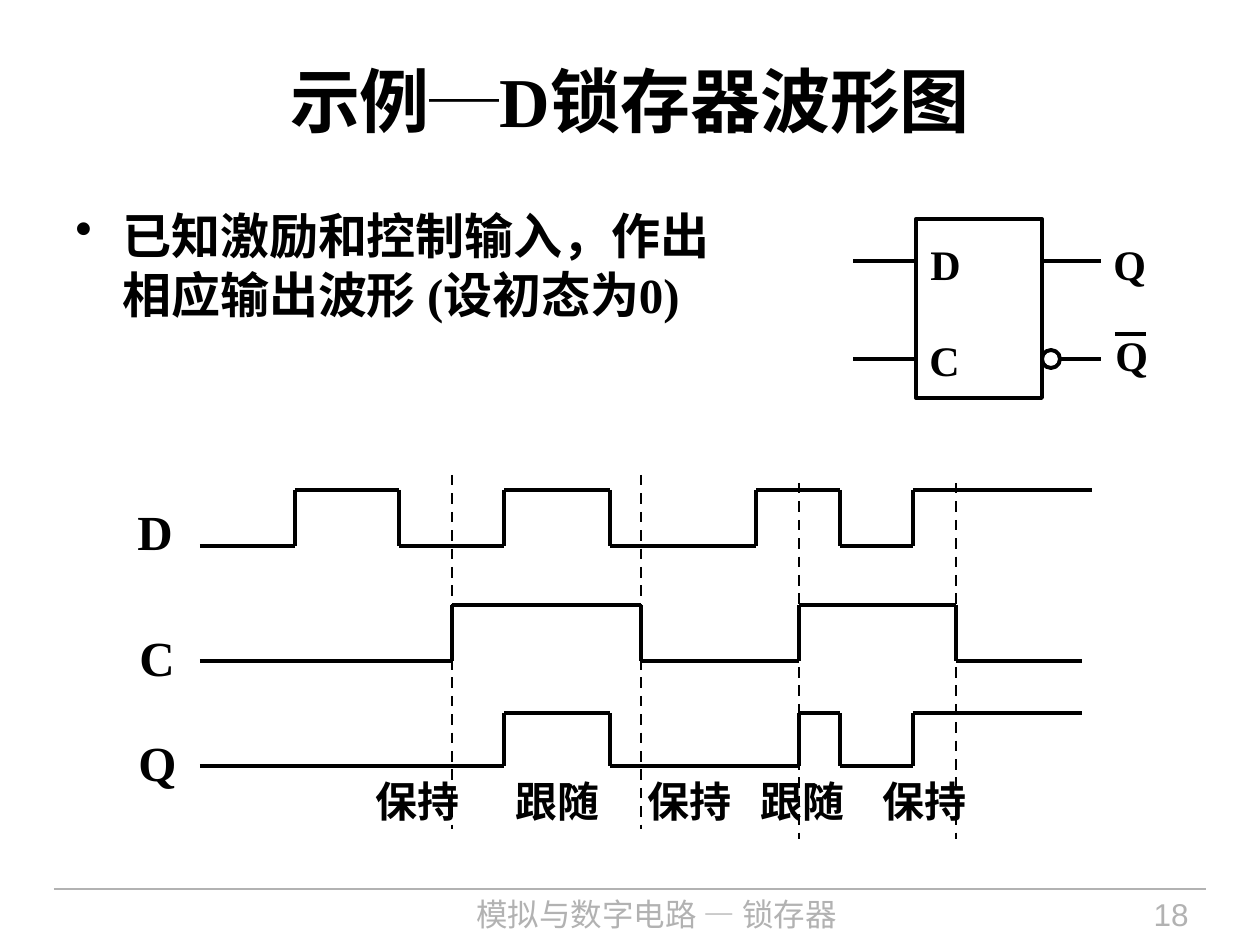
from pptx import Presentation
from pptx.dml.color import RGBColor
from pptx.enum.dml import MSO_LINE
from pptx.enum.shapes import MSO_CONNECTOR, MSO_SHAPE
from pptx.enum.text import MSO_ANCHOR, PP_ALIGN
from pptx.oxml.ns import qn
from pptx.util import Emu, Pt

STRAIGHT = MSO_CONNECTOR.STRAIGHT
RECTANGLE, OVAL = MSO_SHAPE.RECTANGLE, MSO_SHAPE.OVAL
LEFT, CENTER, RIGHT = PP_ALIGN.LEFT, PP_ALIGN.CENTER, PP_ALIGN.RIGHT
MIDDLE = MSO_ANCHOR.MIDDLE
DASH = MSO_LINE.DASH

EMU_PER_PX = 914400 / 126
COLORS = {"ink": "000000", "muted": "B2B2B2", "paper": "FFFFFF"}
SERIF, SANS, CJK = "Times New Roman", "Arial", "Noto Sans CJK SC"

WAVE_START = 200
WAVES = [
    ("D", 125, 495, 546, 490, (295, 399, 504, 610, 756, 840, 913), 1092),
    ("C", 127, 621, 661, 605, (452, 641, 799, 956), 1082),
    ("Q", 126, 726, 766, 713, (504, 610, 799, 840, 913), 1082),
]
CLOCK_GUIDES = [(452, 475, 829), (641, 475, 829), (799, 483, 839), (956, 483, 839)]
PHASES = ["保持", "跟随", "保持", "跟随", "保持"]
PHASE_TABS = (140, 272, 385, 507)
LATCH_WIRES = [(916, 261, 853), (916, 359, 853), (1042, 261, 1101), (1060, 359, 1101)]
LATCH_PINS = [("D", 918, 232), ("C", 917, 328), ("Q", 1101, 232), ("Q", 1103, 323)]


def px(length):
    """Turn a length in px into EMU."""
    return Emu(round(length * EMU_PER_PX))


def rgb(name):
    """Look up a palette colour."""
    return RGBColor.from_string(COLORS[name])


def add_child(parent, tag, **attributes):
    """Append an XML element to a parent and return it."""
    child = parent.makeelement(qn(tag), attributes)
    parent.append(child)
    return child


def style(paragraph, size, face=SERIF, color="ink", bold=True, align=LEFT):
    """Set alignment and font of a paragraph."""
    paragraph.alignment = align
    font = paragraph.font
    font.size, font.name, font.bold = Pt(size), face, bold
    font.color.rgb = rgb(color)
    for run in paragraph.runs:
        add_child(run._r.get_or_add_rPr(), "a:ea", typeface=CJK)


def add_text(slide, text, left, top, width, height, wrap=False):
    """Add a text box and return its paragraph."""
    frame = slide.shapes.add_textbox(px(left), px(top), px(width), px(height)).text_frame
    frame.word_wrap = wrap
    frame.text = text
    return frame.paragraphs[0]


def add_line(slide, x1, y1, x2, y2, width=2.25, color="ink", dash=None):
    """Draw a straight line without a shadow."""
    connector = slide.shapes.add_connector(STRAIGHT, px(x1), px(y1), px(x2), px(y2))
    connector.line.width = Pt(width)
    connector.line.color.rgb = rgb(color)
    if dash:
        connector.line.dash_style = dash
    add_child(connector._element.spPr, "a:effectLst")


def add_outline(slide, preset, left, top, width, height):
    """Draw a white shape with a black outline."""
    outline = slide.shapes.add_shape(preset, px(left), px(top), px(width), px(height))
    outline.shadow.inherit = False
    outline.fill.solid()
    outline.fill.fore_color.rgb = rgb("paper")
    outline.line.color.rgb = rgb("ink")
    outline.line.width = Pt(2.25)


def add_wave(slide, low, high, edges, end):
    """Draw a waveform that starts low and toggles at each edge."""
    x, level, other = WAVE_START, low, high
    for edge in edges:
        add_line(slide, x, level, edge, level)
        add_line(slide, edge, level, edge, other)
        x, level, other = edge, other, level
    add_line(slide, x, level, end, level)


def add_title(slide, text):
    """Place and format the title."""
    title = slide.shapes.title
    title.left, title.top, title.width, title.height = px(63), px(21), px(1134), px(158)
    title.text_frame.text = text
    title.text_frame.vertical_anchor = MIDDLE
    style(title.text_frame.paragraphs[0], 40, align=CENTER)


def add_task(slide, text):
    """Add the bulleted task statement."""
    task = add_text(slide, text, 63, 199, 696, 163, wrap=True)
    properties = task._p.get_or_add_pPr()
    properties.set("marL", str(px(47)))
    properties.set("indent", str(-px(47)))
    add_child(properties, "a:buChar", char="•")
    style(task, 28)


def add_phases(slide):
    """Name the hold and follow phases under the output wave."""
    phases = add_text(slide, "\t".join(PHASES), 363, 769, 629, 63, wrap=True)
    stops = add_child(phases._p.get_or_add_pPr(), "a:tabLst")
    for offset in PHASE_TABS:
        add_child(stops, "a:tab", pos=str(px(offset)), algn="l")
    style(phases, 24, CJK)


def add_latch(slide):
    """Draw the latch symbol with its inverted output."""
    add_outline(slide, RECTANGLE, 916, 219, 126, 179)
    for start, y, end in LATCH_WIRES:
        add_line(slide, start, y, end, y)
    for pin, left, top in LATCH_PINS:
        style(add_text(slide, pin, left, top, 57, 63), 24)
    add_outline(slide, OVAL, 1042, 350, 18, 18)
    add_line(slide, 1115, 334, 1146, 334)


def add_footer(slide):
    """Add the footer rule, course name and page number."""
    add_line(slide, 54, 889, 1206, 889, 0.75, "muted")
    course = add_text(slide, "模拟与数字电路 — 锁存器", 302, 889, 709, 55, wrap=True)
    style(course, 18, CJK, "muted", False, CENTER)
    page = add_text(slide, "18", 1033, 889, 168, 55, wrap=True)
    style(page, 18, SANS, "muted", False, RIGHT)


def main():
    """Build the slide and save it."""
    deck = Presentation()
    deck.slide_width, deck.slide_height = px(1260), px(945)
    slide = deck.slides.add_slide(deck.slide_layouts[5])
    add_footer(slide)
    add_title(slide, "示例─D锁存器波形图")
    add_task(slide, "已知激励和控制输入，作出相应输出波形 (设初态为0)")
    for label, left, top, low, high, edges, end in WAVES:
        add_wave(slide, low, high, edges, end)
        style(add_text(slide, label, left, top, 62, 72), 28)
    for x, top, bottom in CLOCK_GUIDES:
        add_line(slide, x, top, x, bottom, 1.5, dash=DASH)
    add_phases(slide)
    add_latch(slide)
    deck.save("out.pptx")


if __name__ == "__main__":
    main()
